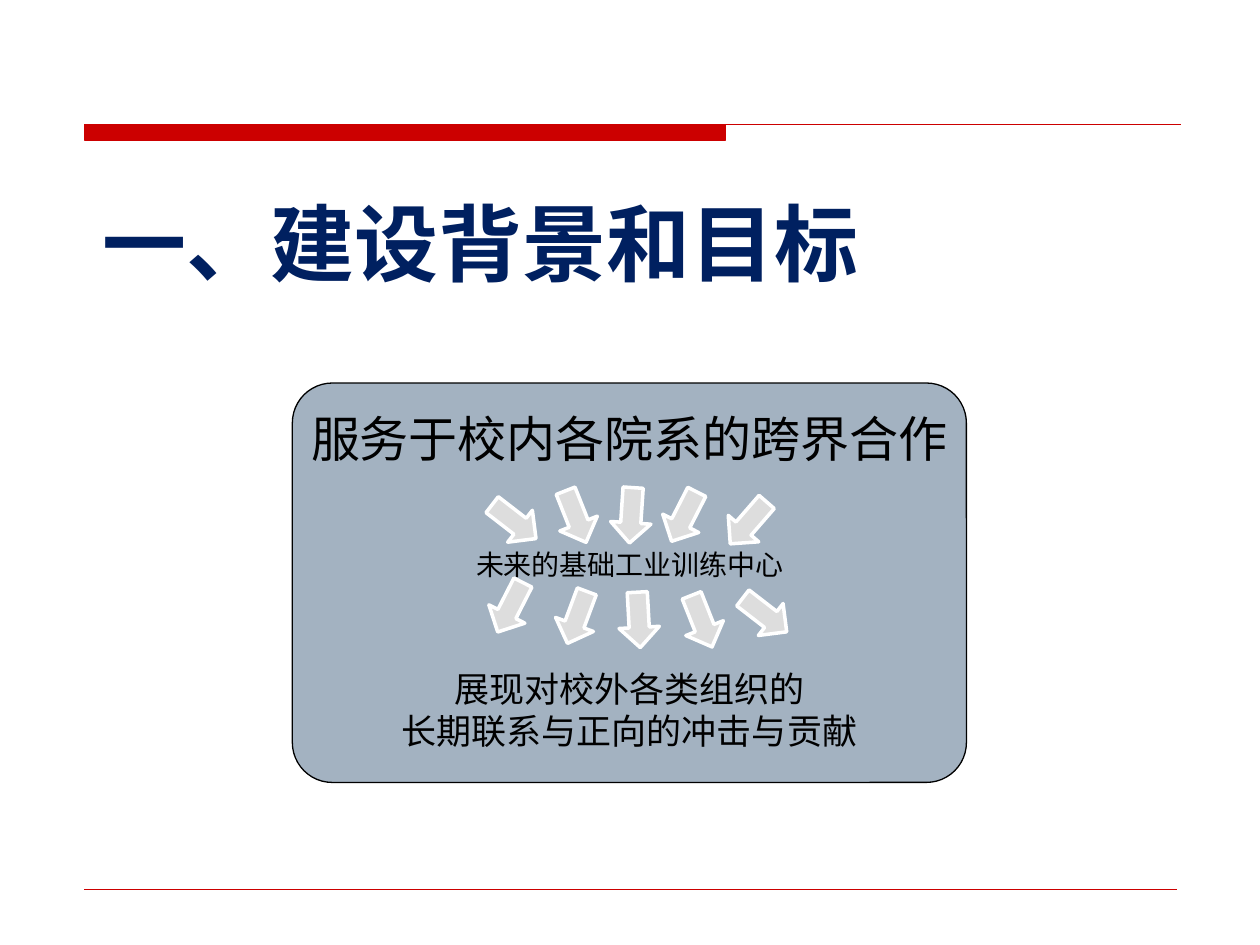
from dataclasses import dataclass

from lxml import etree
from pptx import Presentation
from pptx.dml.color import RGBColor
from pptx.enum.shapes import MSO_CONNECTOR, MSO_SHAPE
from pptx.enum.text import MSO_ANCHOR, PP_ALIGN
from pptx.oxml.ns import qn
from pptx.util import Inches, Pt

ROUNDED = MSO_SHAPE.ROUNDED_RECTANGLE
ARROW = MSO_SHAPE.RIGHT_ARROW
STRAIGHT = MSO_CONNECTOR.STRAIGHT
LEFT, CENTER = PP_ALIGN.LEFT, PP_ALIGN.CENTER
TOP, BOTTOM = MSO_ANCHOR.TOP, MSO_ANCHOR.BOTTOM

COLUMNS, ROWS = 100, 75


@dataclass(frozen=True)
class Theme:
    rule: str = "CC0000"
    title: str = "002060"
    text: str = "000000"
    panel: str = "A3B2C1"
    arrow: str = "DDDDDD"
    arrow_edge: str = "FFFFFF"
    title_font: str = "DejaVu Sans"
    body_font: str = "Noto Sans CJK SC"
    title_size: int = 48
    heading_size: int = 28
    outcome_size: int = 20
    label_size: int = 16


class SlideBuilder:
    """Places elements on a grid of COLUMNS by ROWS cells."""

    def __init__(self, presentation, theme):
        self.theme = theme
        self.slide = presentation.slides.add_slide(presentation.slide_layouts[6])
        self.shapes = self.slide.shapes
        self.column = presentation.slide_width / COLUMNS
        self.row = presentation.slide_height / ROWS

    def point(self, x, y):
        return round(x * self.column), round(y * self.row)

    def box(self, left, top, width, height):
        return *self.point(left, top), *self.point(width, height)

    def paint(self, shape, fill, edge, weight):
        shape.shadow.inherit = False
        shape.fill.solid()
        shape.fill.fore_color.rgb = RGBColor.from_string(fill)
        shape.line.color.rgb = RGBColor.from_string(edge)
        shape.line.width = Pt(weight)

    def header_rule(self, left, top, bar_right, bar_bottom, right):
        """A thick bar that goes on as a thin line along its top edge."""
        outline = self.shapes.build_freeform(*self.point(left, top))
        corners = [(bar_right, top), (bar_right, bar_bottom), (left, bar_bottom)]
        outline.add_line_segments([self.point(*corner) for corner in corners])
        outline.move_to(*self.point(left, top))
        outline.add_line_segments([self.point(right, top)], close=False)
        self.paint(outline.convert_to_shape(), self.theme.rule, self.theme.rule, 0.75)

    def footer_rule(self, left, right, y):
        rule = self.shapes.add_connector(
            STRAIGHT, *self.point(left, y), *self.point(right, y))
        rule.line.color.rgb = RGBColor.from_string(self.theme.rule)
        rule.line.width = Pt(0.25)
        etree.SubElement(rule._element.spPr, qn("a:effectLst"))

    def panel(self, *box):
        panel = self.shapes.add_shape(ROUNDED, *self.box(*box))
        panel.adjustments[0] = 0.1
        self.paint(panel, self.theme.panel, self.theme.text, 0.75)

    def arrow(self, left, top, angle):
        arrow = self.shapes.add_shape(ARROW, *self.box(left, top, 4.4, 3.2))
        arrow.rotation = angle
        self.paint(arrow, self.theme.arrow, self.theme.arrow_edge, 2)

    def text(self, box, lines, size, align=LEFT, anchor=TOP, title=False):
        frame = self.shapes.add_textbox(*self.box(*box)).text_frame
        frame.word_wrap = True
        frame.vertical_anchor = anchor
        face = self.theme.title_font if title else self.theme.body_font
        color = self.theme.title if title else self.theme.text
        for index, line in enumerate(lines):
            paragraph = frame.add_paragraph() if index else frame.paragraphs[0]
            paragraph.alignment = align
            run = paragraph.add_run()
            run.text = line
            run.font.size = Pt(size)
            run.font.bold = title
            run.font.color.rgb = RGBColor.from_string(color)
            run.font.name = face
            east_asian = etree.SubElement(run.font._element, qn("a:ea"))
            east_asian.set("typeface", face)


def main():
    presentation = Presentation()
    presentation.slide_width, presentation.slide_height = Inches(10), Inches(7.5)
    theme = Theme()
    slide = SlideBuilder(presentation, theme)

    slide.header_rule(6.7, 9.9, 57.6, 11.1, 93.7)
    slide.footer_rule(6.7, 93.4, 70.6)
    slide.text((3.5, 14.7, 69.3, 9), ["一、建设背景和目标"],
               theme.title_size, CENTER, BOTTOM, title=True)

    slide.panel(23.2, 30.4, 53.5, 31.7)
    slide.text((36.8, 43, 32.5, 3.7), ["未来的基础工业训练中心"], theme.label_size)
    slide.text((23.7, 31.9, 53.1, 5.7), ["服务于校内各院系的跨界合作"],
               theme.heading_size)
    slide.text((23.2, 52.5, 53.5, 7.7),
               ["展现对校外各类组织的", "长期联系与正向的冲击与贡献"],
               theme.outcome_size, CENTER)

    inward = [(38.6, 39.8, 37.7), (43.5, 39.4, 68.4), (47.9, 39.3, 93.8),
              (52.1, 39.4, 117), (57.2, 39.9, 131)]
    outward = [(38.3, 46.6, 117), (43.6, 47.4, 110.4), (48.5, 47.6, 86.9),
               (53.5, 47.7, 68.4), (58.5, 47.2, 37.7)]
    for left, top, angle in inward + outward:
        slide.arrow(left, top, angle)

    presentation.save("out.pptx")


if __name__ == "__main__":
    main()
